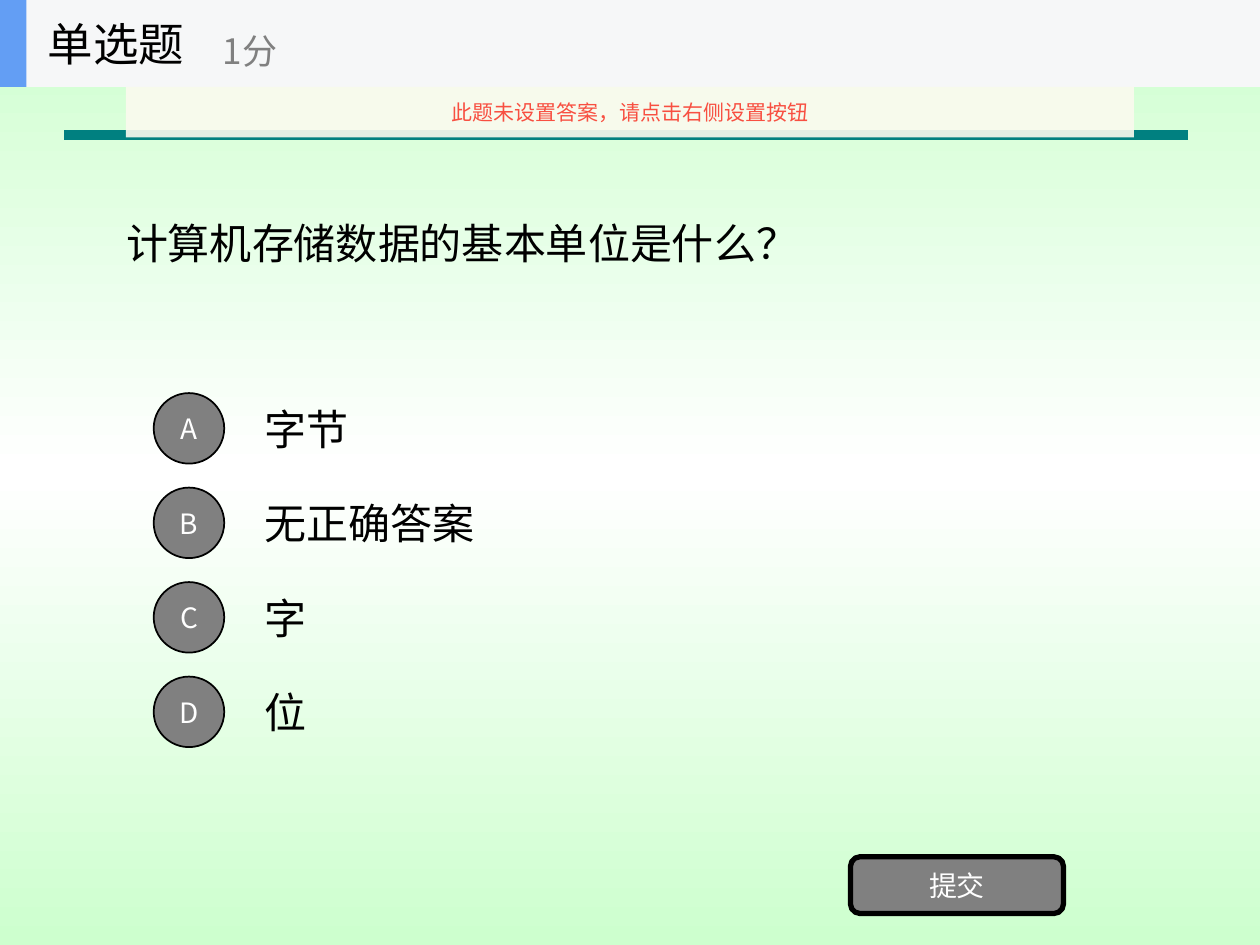
from copy import deepcopy

from lxml import etree
from pptx import Presentation, util as u
from pptx.dml import color
from pptx.enum import shapes, text
from pptx.oxml import ns

SHAPE = shapes.MSO_SHAPE
ALIGN = text.PP_ALIGN


def rgb(value):
    return color.RGBColor.from_string(value)


class QuizSlide:
    cjk = "Noto Sans CJK SC"
    latin = "Times New Roman"
    grey = "808080"
    black = "000000"
    white = "FFFFFF"
    green = "CDFFCE"

    def __init__(self, prs):
        self.s = prs.slides.add_slide(prs.slide_layouts[5])
        self.shapes = self.s.shapes

    def background(self):
        fill = self.s.background.fill
        fill.gradient()
        fill.gradient_angle = 90
        stops = next(self.s.element.iter(ns.qn("a:gsLst")))
        stops.insert(1, deepcopy(stops[0]))
        colors = (self.green, self.white, self.green)
        for stop, place, value in zip(fill.gradient_stops, (0, 0.5, 1), colors):
            stop.position = place
            stop.color.rgb = rgb(value)

    def set_text(self, sp, words, size, fill, font=cjk, align=ALIGN.LEFT):
        tf = sp.text_frame
        frame = {
            "word_wrap": True,
            "auto_size": text.MSO_AUTO_SIZE.NONE,
            "vertical_anchor": text.MSO_ANCHOR.MIDDLE,
        }
        for name, value in frame.items():
            setattr(tf, name, value)
        p = tf.paragraphs[0]
        p.alignment = align
        r = p.add_run()
        r.text = words
        for name, value in {"size": u.Pt(size), "name": font, "bold": False}.items():
            setattr(r.font, name, value)
        r.font.color.rgb = rgb(fill)
        ea = etree.SubElement(r.font._element, ns.qn("a:ea"))
        ea.set("typeface", self.cjk)

    def title(self, words, box):
        sp = self.s.shapes.title
        for name, value in zip(("left", "top", "width", "height"), box):
            setattr(sp, name, u.Inches(value))
        self.set_text(sp, words, 24, self.black, self.latin)

    def label(self, words, box, size, fill=black, font=cjk):
        sp = self.shapes.add_textbox(*map(u.Inches, box))
        self.set_text(sp, words, size, fill, font)

    def shape(self, kind, box, fill, outline=0, words="", size=16, ink=white, opacity=100):
        sp = self.shapes.add_shape(kind, *map(u.Inches, box))
        sp.shadow.inherit = False
        sp.fill.solid()
        sp.fill.fore_color.rgb = rgb(fill)
        if opacity < 100:
            tint = next(sp.element.spPr.iter(ns.qn("a:srgbClr")))
            etree.SubElement(tint, ns.qn("a:alpha")).set("val", str(opacity * 1000))
        if outline:
            sp.line.color.rgb = rgb(self.black)
            sp.line.width = u.Pt(outline)
        else:
            sp.line.fill.background()
        if words:
            self.set_text(sp, words, size, ink, align=ALIGN.CENTER)

    def rule(self, ends, fill, width):
        line = self.shapes.add_connector(shapes.MSO_CONNECTOR.STRAIGHT, *map(u.Inches, ends))
        line.line.color.rgb = rgb(fill)
        line.line.width = u.Pt(width)
        etree.SubElement(line._element.spPr, ns.qn("a:effectLst"))

    def option(self, letter, words, top):
        self.label(words, (2, top, 7, 0.7), 24, font=self.latin)
        self.shape(SHAPE.OVAL, (1.22, top + 0.07, 0.56, 0.56), self.grey, 1, letter)

    def header(self, words, points):
        self.shapes = self.s.shapes.add_group_shape().shapes
        self.shape(SHAPE.RECTANGLE, (0, 0, 10, 0.69), "F6F7F8")
        self.shape(SHAPE.RECTANGLE, (0, 0, 0.21, 0.69), "639EF4")
        self.label(words, (0.28, 0, 2.08, 0.69), 26)
        self.label(points, (1.67, 0.12, 2.5, 0.56), 20, self.grey)
        self.shapes = self.s.shapes


def main():
    prs = Presentation()
    prs.slide_width, prs.slide_height = u.Inches(10), u.Inches(7.5)
    quiz = QuizSlide(prs)
    quiz.background()
    quiz.rule((0.51, 1.07, 9.43, 1.07), "008080", 6)
    quiz.title("计算机存储数据的基本单位是什么？", (0.9, 0.76, 8, 2.34))
    for i, (letter, words) in enumerate(zip("ABCD", ("字节", "无正确答案", "字", "位"))):
        quiz.option(letter, words, 3.05 + 0.75 * i)
    quiz.shape(SHAPE.ROUNDED_RECTANGLE, (6.75, 6.8, 1.69, 0.45), quiz.grey, 3, "提交")
    quiz.header("单选题", "1分")
    quiz.shape(SHAPE.RECTANGLE, (1, 0.69, 8, 0.4), "FBFAEF",
               words="此题未设置答案，请点击右侧设置按钮", size=12, ink="F84F41", opacity=90)
    prs.save("out.pptx")


if __name__ == "__main__":
    main()
